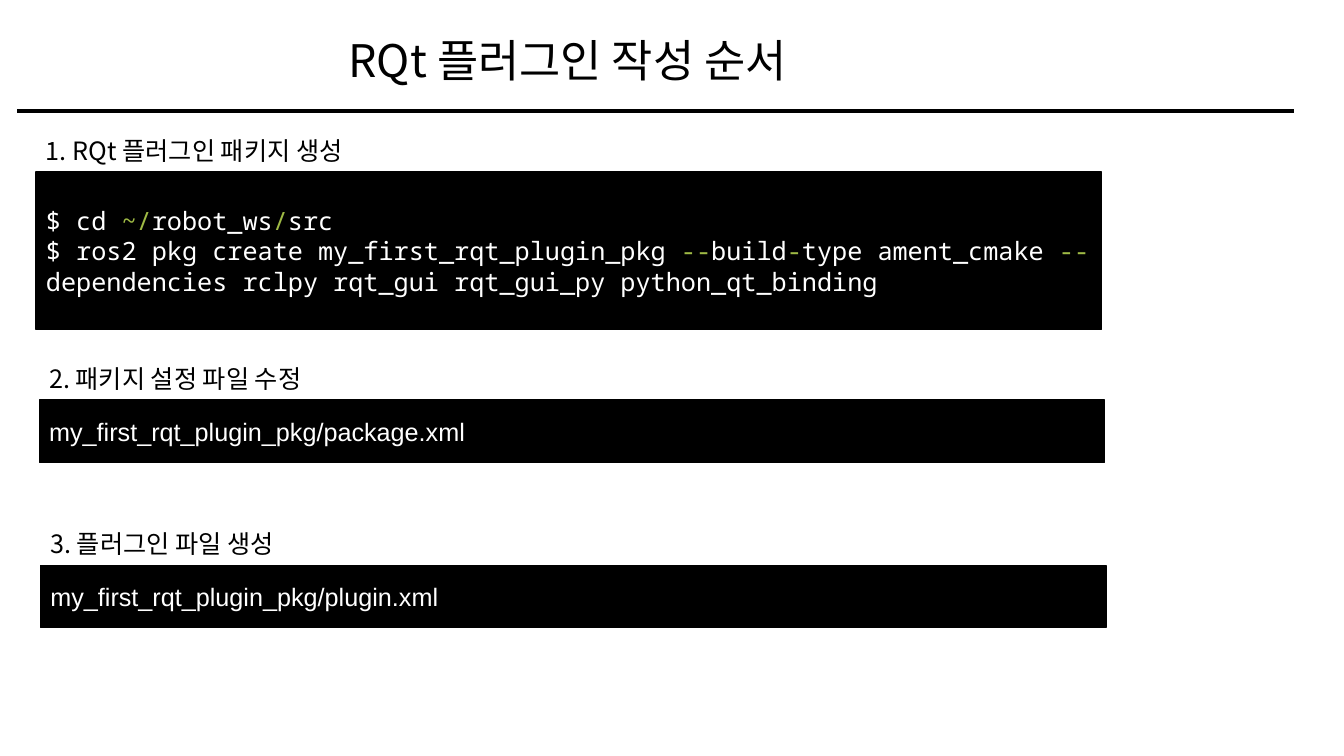
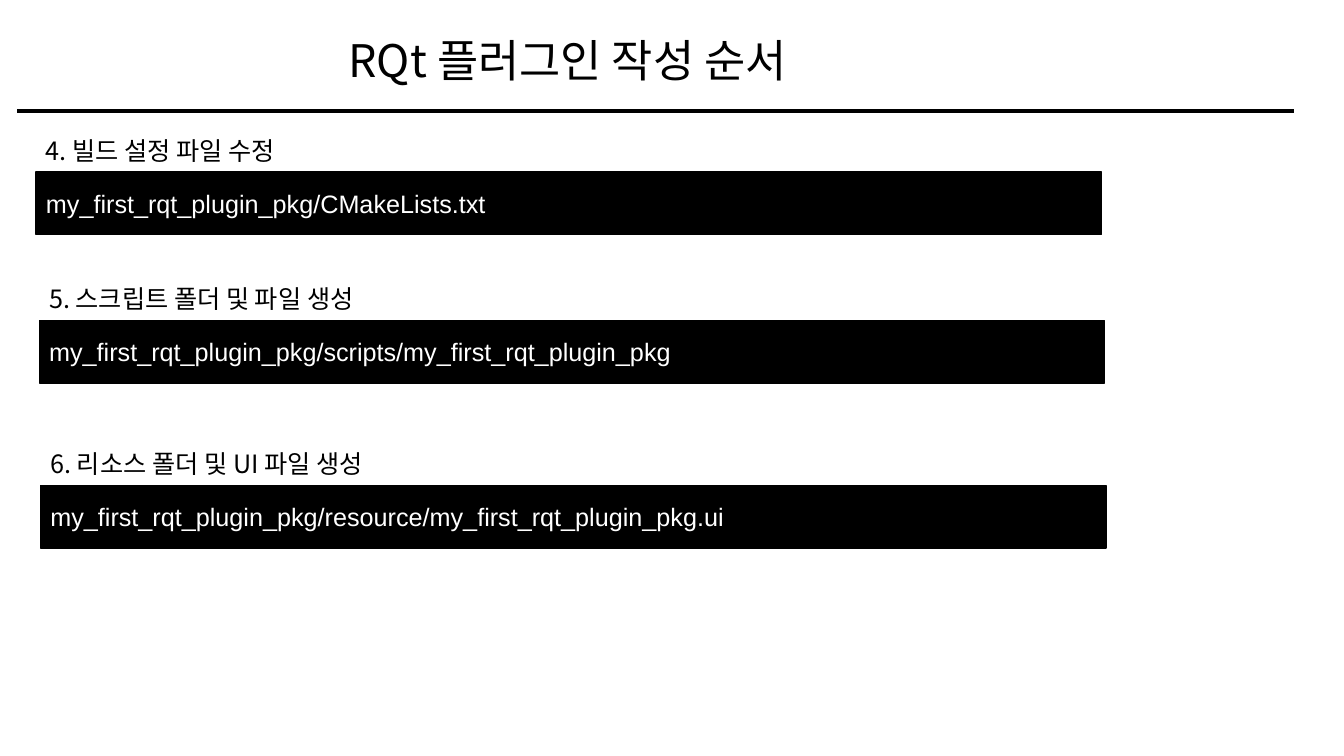
from dataclasses import dataclass

from lxml import etree
from pptx import Presentation
from pptx.dml.color import RGBColor
from pptx.enum.shapes import MSO_CONNECTOR, MSO_SHAPE
from pptx.enum.text import MSO_ANCHOR, MSO_AUTO_SIZE, PP_ALIGN
from pptx.oxml.ns import qn
from pptx.util import Cm, Pt

RECTANGLE = MSO_SHAPE.RECTANGLE
STRAIGHT = MSO_CONNECTOR.STRAIGHT
MIDDLE = MSO_ANCHOR.MIDDLE
GROW = MSO_AUTO_SIZE.SHAPE_TO_FIT_TEXT
LEFT = PP_ALIGN.LEFT


@dataclass(frozen=True)
class Theme:
    """Colours, fonts and type sizes shared by the slides."""
    ink: RGBColor = RGBColor(0, 0, 0)
    paper: RGBColor = RGBColor(255, 255, 255)
    operator: RGBColor = RGBColor(0x9F, 0xBA, 0x45)
    korean: str = "Noto Sans CJK KR"
    mono: str = "Noto Sans Mono"
    sans: str = "Arial"
    title_size: Pt = Pt(32)
    body_size: Pt = Pt(18)


THEME = Theme()
TITLE = "RQt 플러그인 작성 순서"
PACKAGE = "my_first_rqt_plugin_pkg"
HEADING_HEIGHT = Cm(1.02)
HEADING_RISE = Cm(1.06)
BLOCK_WIDTH = Cm(26.85)
FILE_HEIGHT = Cm(1.57)
COMMAND_HEIGHT = Cm(3.96)

COMMANDS = [
    ["$ cd ", "~/", "robot_ws", "/", "src"],
    [f"$ ros2 pkg create {PACKAGE} ", "--", "build", "-", "type ament_cmake ", "--",
     "dependencies rclpy rqt_gui rqt_gui_py python_qt_binding"],
]

# Each step: left, block top, block height, heading width, heading, lines, font
SLIDES = [
    [
        (Cm(0.91), Cm(4.34), COMMAND_HEIGHT, Cm(9.02),
         "1. RQt 플러그인 패키지 생성", COMMANDS, THEME.mono),
        (Cm(0.99), Cm(10.08), FILE_HEIGHT, Cm(7.7),
         "2. 패키지 설정 파일 수정", [[f"{PACKAGE}/package.xml"]], THEME.sans),
        (Cm(1.02), Cm(14.25), FILE_HEIGHT, Cm(6.81),
         "3. 플러그인 파일 생성", [[f"{PACKAGE}/plugin.xml"]], THEME.sans),
    ],
    [
        (Cm(0.91), Cm(4.34), FILE_HEIGHT, Cm(7.04),
         "4. 빌드 설정 파일 수정", [[f"{PACKAGE}/CMakeLists.txt"]], THEME.sans),
        (Cm(0.99), Cm(8.08), FILE_HEIGHT, Cm(9.19),
         "5. 스크립트 폴더 및 파일 생성", [[f"{PACKAGE}/scripts/{PACKAGE}"]], THEME.sans),
        (Cm(1.02), Cm(12.24), FILE_HEIGHT, Cm(9.4),
         "6. 리소스 폴더 및 UI 파일 생성", [[f"{PACKAGE}/resource/{PACKAGE}.ui"]], THEME.sans),
    ],
]


def apply_format(target, values):
    """Set each attribute named in values on the target."""
    for name, value in values.items():
        setattr(target, name, value)


def add_run(paragraph, text, font_name, size, color):
    """Append one formatted run, with its font also set for Korean."""
    run = paragraph.add_run()
    run.text = text
    apply_format(run.font, {"name": font_name, "size": size})
    run.font.color.rgb = color
    east_asian = etree.SubElement(run.font._element, qn("a:ea"))
    east_asian.set("typeface", font_name)


def add_label(slide, left, top, width, height, text, size):
    """Place one line of Korean text in the given box."""
    frame = slide.shapes.add_textbox(left, top, width, height).text_frame
    apply_format(frame, {"word_wrap": False, "auto_size": GROW})
    add_run(frame.paragraphs[0], text, THEME.korean, size, THEME.ink)


def add_block(slide, left, top, width, height, lines, font_name):
    """Place a dark block whose lines alternate plain and operator runs."""
    shape = slide.shapes.add_shape(RECTANGLE, left, top, width, height)
    shape.shadow.inherit = False
    shape.fill.solid()
    shape.fill.fore_color.rgb = THEME.ink
    shape.line.color.rgb = THEME.ink
    shape.line.width = Pt(1)
    frame = shape.text_frame
    apply_format(frame, {"word_wrap": True, "vertical_anchor": MIDDLE})
    for index, line in enumerate(lines):
        paragraph = frame.add_paragraph() if index else frame.paragraphs[0]
        paragraph.alignment = LEFT
        for position, text in enumerate(line):
            color = THEME.operator if position % 2 else THEME.paper
            add_run(paragraph, text, font_name, THEME.body_size, color)


def add_header(slide, left, top, width):
    """Place the slide title and the rule beneath it."""
    rule_top = top + Cm(2.08)
    rule = slide.shapes.add_connector(STRAIGHT, left, rule_top, left + width, rule_top)
    rule.line.color.rgb = THEME.ink
    rule.line.width = Pt(3)
    etree.SubElement(rule._element.spPr, qn("a:effectLst"))
    add_label(slide, left + Cm(8.1), top, Cm(12.8), Cm(1.63), TITLE, THEME.title_size)


def add_step(slide, left, top, height, heading_width, heading, lines, font_name):
    """Place a numbered heading directly above its dark block."""
    add_block(slide, left, top, BLOCK_WIDTH, height, lines, font_name)
    add_label(slide, left, top - HEADING_RISE, heading_width, HEADING_HEIGHT,
              heading, THEME.body_size)


def main():
    """Build and save the presentation."""
    presentation = Presentation()
    apply_format(presentation, {"slide_width": Cm(33.87), "slide_height": Cm(19.05)})
    for steps in SLIDES:
        slide = presentation.slides.add_slide(presentation.slide_layouts[6])
        add_header(slide, Cm(0.43), Cm(0.71), Cm(32.18))
        for step in steps:
            add_step(slide, *step)
    presentation.save("out.pptx")


if __name__ == "__main__":
    main()
